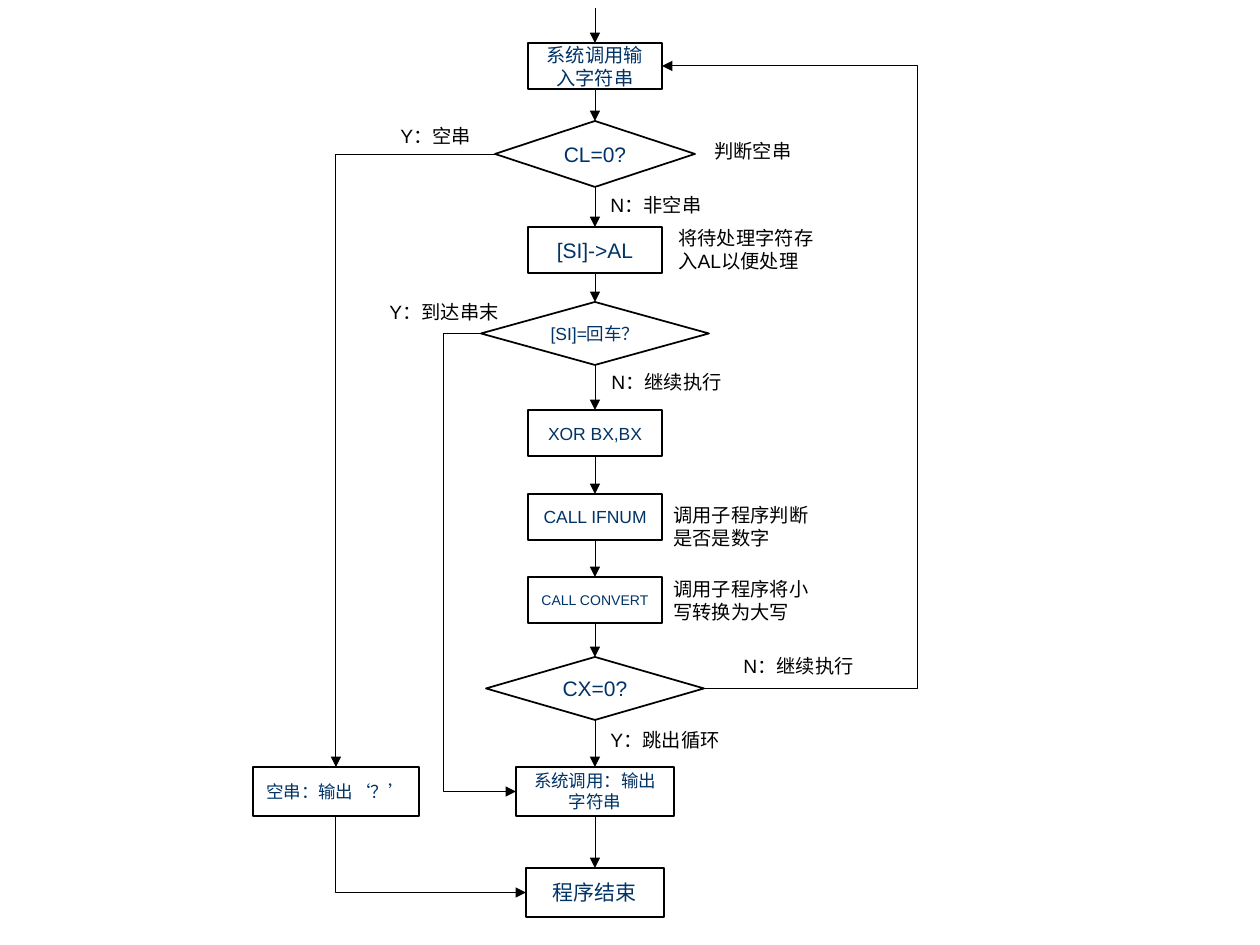
from lxml import etree
from pptx import Presentation
from pptx.dml.color import RGBColor
from pptx.enum.shapes import MSO_CONNECTOR, MSO_SHAPE
from pptx.enum.text import MSO_ANCHOR, MSO_AUTO_SIZE, PP_ALIGN
from pptx.oxml.ns import qn
from pptx.util import Pt

EMU_PER_PX = 914400 / 126
CENTRE_X = 595
FONT = "Arial"
BLACK = RGBColor(0x00, 0x00, 0x00)
WHITE = RGBColor(0xFF, 0xFF, 0xFF)
NAVY = RGBColor(0x00, 0x33, 0x66)
PROCESS = MSO_SHAPE.FLOWCHART_PROCESS
DECISION = MSO_SHAPE.FLOWCHART_DECISION
STRAIGHT = MSO_CONNECTOR.STRAIGHT
ELBOW = MSO_CONNECTOR.ELBOW
TOP, LEFT, BOTTOM, RIGHT = range(4)

# kind, top, width, height, text, font size
MAIN_FLOW = [
    (PROCESS, 43, 134, 46, "系统调用输入字符串", 11),
    (DECISION, 121, 200, 66, "CL=0?", 12),
    (PROCESS, 227, 134, 46, "[SI]->AL", 12),
    (DECISION, 302, 228, 63, "[SI]=回车？", 10),
    (PROCESS, 410, 134, 46, "XOR BX,BX", 10),
    (PROCESS, 494, 134, 46, "CALL IFNUM", 10),
    (PROCESS, 577, 134, 46, "CALL CONVERT", 8),
    (DECISION, 657, 218, 63, "CX=0?", 12),
    (PROCESS, 767, 158, 49, "系统调用：输出字符串", 10),
    (PROCESS, 868, 138, 49, "程序结束", 12),
]

# left, top, width, height, text
LABELS = [
    (388, 118, 107, 36, "Y：空串"),
    (702, 133, 107, 36, "判断空串"),
    (598, 187, 121, 36, "N：非空串"),
    (666, 220, 164, 59, "将待处理字符存入AL以便处理"),
    (377, 294, 154, 36, "Y：到达串末"),
    (599, 364, 154, 36, "N：继续执行"),
    (661, 497, 169, 59, "调用子程序判断是否是数字"),
    (661, 571, 165, 59, "调用子程序将小写转换为大写"),
    (731, 648, 154, 36, "N：继续执行"),
    (598, 722, 154, 36, "Y：跳出循环"),
]


def px(value):
    return round(value * EMU_PER_PX)


def set_text(frame, text, size, color, alignment):
    frame.word_wrap = True
    frame.text = text
    paragraph = frame.paragraphs[0]
    paragraph.alignment = alignment
    paragraph.font.name = FONT
    paragraph.font.size = Pt(size)
    paragraph.font.color.rgb = color


def add_node(slide, kind, centre_x, top, width, height, text, size):
    shape = slide.shapes.add_shape(
        kind, px(centre_x - width / 2), px(top), px(width), px(height))
    shape.shadow.inherit = False
    shape.fill.solid()
    shape.fill.fore_color.rgb = WHITE
    shape.line.color.rgb = BLACK
    shape.line.width = Pt(1)
    shape.text_frame.vertical_anchor = MSO_ANCHOR.MIDDLE
    set_text(shape.text_frame, text, size, NAVY, PP_ALIGN.CENTER)
    return shape


def add_label(slide, left, top, width, height, text):
    box = slide.shapes.add_textbox(px(left), px(top), px(width), px(height))
    set_text(box.text_frame, text, 11, BLACK, PP_ALIGN.LEFT)
    box.text_frame.auto_size = MSO_AUTO_SIZE.SHAPE_TO_FIT_TEXT


def add_arrow(slide, kind, end, end_side, start=None, start_side=BOTTOM,
              start_point=(0, 0)):
    """Add an arrow from a node's side, or from a free point, to a node's side."""
    x, y = map(px, start_point)
    arrow = slide.shapes.add_connector(kind, x, y, x, y)
    if start is not None:
        arrow.begin_connect(start, start_side)
    arrow.end_connect(end, end_side)
    arrow.line.color.rgb = BLACK
    arrow.line.width = Pt(0.5)
    etree.SubElement(arrow.line._get_or_add_ln(), qn("a:tailEnd"), type="triangle")
    etree.SubElement(arrow._element.spPr, qn("a:effectLst"))
    return arrow


def route_through(arrow, x):
    """Place the vertical run of a three-part elbow at x."""
    ratio = (px(x) - arrow.begin_x) / (arrow.end_x - arrow.begin_x)
    guides = arrow._element.spPr.find(qn("a:prstGeom")).get_or_add_avLst()
    etree.SubElement(guides, qn("a:gd"), name="adj1",
                     fmla=f"val {round(ratio * 100000)}")


def make_single_bend(arrow):
    arrow._element.spPr.find(qn("a:prstGeom")).set("prst", "bentConnector2")


def turn_down_then_right(arrow):
    """Rotate a single bend so that it leaves downwards and arrives rightwards."""
    left, top, width, height = arrow.left, arrow.top, arrow.width, arrow.height
    arrow.left = left + (width - height) // 2
    arrow.top = top + (height - width) // 2
    arrow.width, arrow.height = height, width
    transform = arrow._element.spPr.find(qn("a:xfrm"))
    transform.set("rot", str(270 * 60000))
    transform.set("flipH", "1")


def main():
    presentation = Presentation()
    presentation.slide_width = px(1260)
    presentation.slide_height = px(945)
    slide = presentation.slides.add_slide(presentation.slide_layouts[6])

    nodes = [add_node(slide, kind, CENTRE_X, *rest) for kind, *rest in MAIN_FLOW]
    read_input, empty_check, _, return_check, *_, count_check, output, finish = nodes
    empty_output = add_node(slide, PROCESS, 336, 767, 166, 49, "空串：输出‘？’", 10)

    add_arrow(slide, STRAIGHT, read_input, TOP, start_point=(CENTRE_X, 8))
    for start, end in zip(nodes, nodes[1:]):
        add_arrow(slide, STRAIGHT, end, TOP, start)

    loop = add_arrow(slide, ELBOW, read_input, RIGHT, count_check, RIGHT)
    route_through(loop, 917)
    string_end = add_arrow(slide, ELBOW, output, LEFT, return_check, LEFT)
    route_through(string_end, 444)
    make_single_bend(add_arrow(slide, ELBOW, empty_output, TOP, empty_check, LEFT))
    to_finish = add_arrow(slide, ELBOW, finish, LEFT, empty_output, BOTTOM)
    make_single_bend(to_finish)
    turn_down_then_right(to_finish)

    for label in LABELS:
        add_label(slide, *label)

    presentation.save("out.pptx")


if __name__ == "__main__":
    main()
